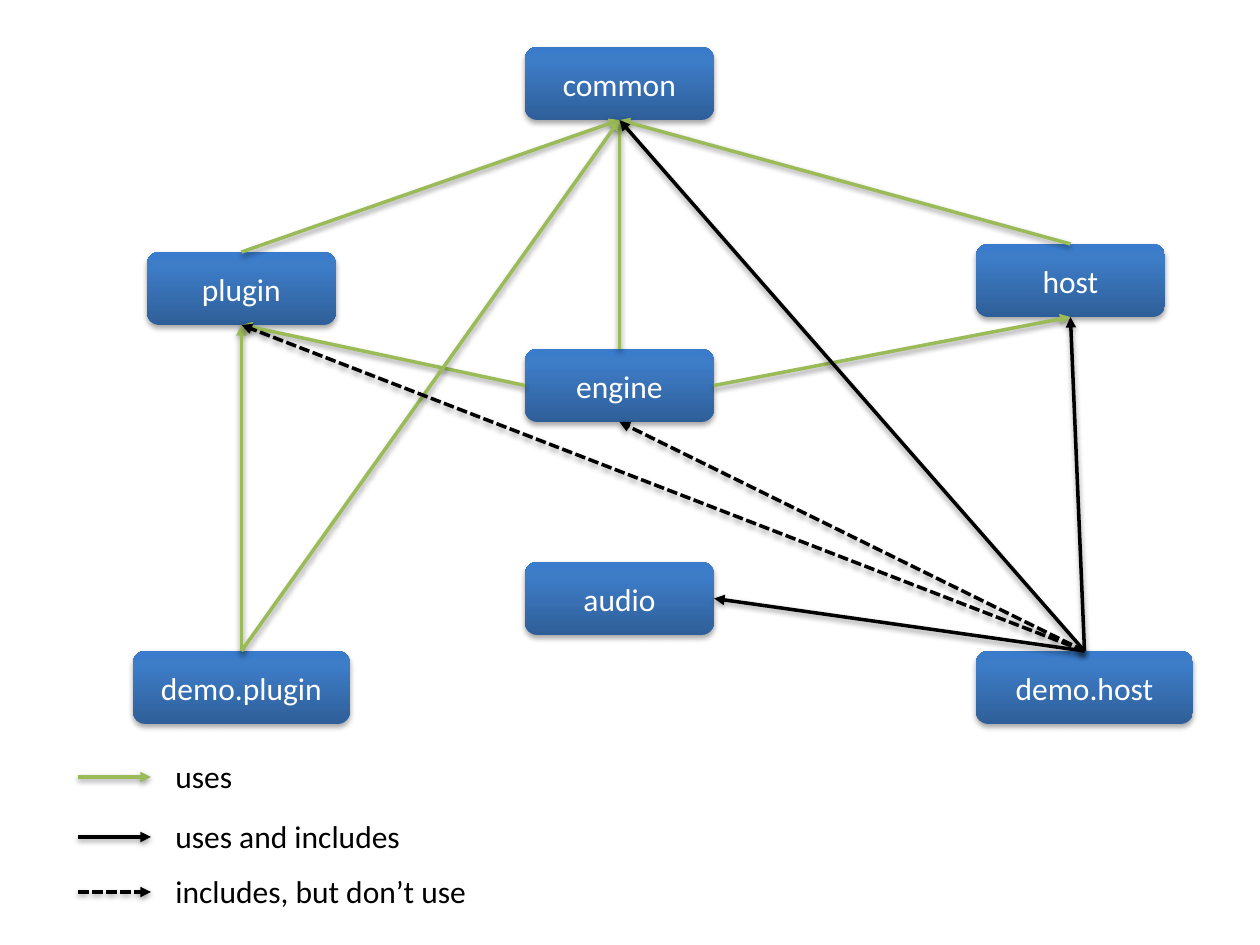
from copy import deepcopy

from lxml.etree import SubElement
from pptx import Presentation
from pptx.dml.color import RGBColor
from pptx.enum.dml import MSO_LINE as Dash
from pptx.enum.shapes import MSO_CONNECTOR as Connector, MSO_SHAPE as Shape
from pptx.enum.text import MSO_ANCHOR as Anchor, MSO_AUTO_SIZE as AutoSize, PP_ALIGN as Align
from pptx.oxml.ns import qn
from pptx.util import Emu, Pt

WHITE = RGBColor(0xFF, 0xFF, 0xFF)
BLACK = RGBColor(0x00, 0x00, 0x00)
GREEN = RGBColor(0x9B, 0xBB, 0x59)
GRADIENT = [
    (0, RGBColor(0x2F, 0x5F, 0x99)),
    (0.8, RGBColor(0x3D, 0x7C, 0xC7)),
    (1, RGBColor(0x3A, 0x7C, 0xCB)),
]

USES = (GREEN, None)
USES_INCLUDES = (BLACK, None)
INCLUDES = (BLACK, Dash.SQUARE_DOT)

TOP, LEFT, BOTTOM, RIGHT = range(4)
NARROW, WIDE, BOX_HEIGHT = 189, 217, 73

MODULES = {
    "common": (525, 47, NARROW),
    "host": (976, 244, NARROW),
    "plugin": (147, 252, NARROW),
    "audio": (525, 562, NARROW),
    "demo.plugin": (133, 651, WIDE),
    "engine": (525, 349, NARROW),
    "demo.host": (976, 651, WIDE),
}

DEPENDENCIES = [
    ("plugin", TOP, "common", BOTTOM, USES),
    ("host", TOP, "common", BOTTOM, USES),
    ("engine", TOP, "common", BOTTOM, USES),
    ("engine", RIGHT, "host", BOTTOM, USES),
    ("engine", LEFT, "plugin", BOTTOM, USES),
    ("demo.plugin", TOP, "plugin", BOTTOM, USES),
    ("demo.plugin", TOP, "common", BOTTOM, USES),
    ("demo.host", TOP, "common", BOTTOM, USES_INCLUDES),
    ("demo.host", TOP, "engine", BOTTOM, INCLUDES),
    ("demo.host", TOP, "plugin", BOTTOM, INCLUDES),
    ("demo.host", TOP, "audio", RIGHT, USES_INCLUDES),
    ("demo.host", TOP, "host", BOTTOM, USES_INCLUDES),
]

LEGEND = [
    ("uses", 777, 83, USES),
    ("uses and includes", 837, 253, USES_INCLUDES),
    ("includes, but don’t use", 892, 328, INCLUDES),
]


def px(length):
    return Emu(round(length * 914400 / 126))


class Diagram:
    font_name = "Calibri"
    font_size = Pt(18)
    line_width = Pt(2)

    def __init__(self, slide):
        self.shapes = slide.shapes

    def set_text(self, frame, wording, color):
        paragraph = frame.paragraphs[0]
        paragraph.text = wording
        font = paragraph.font
        font.name, font.size, font.color.rgb = self.font_name, self.font_size, color
        return paragraph

    def cast_shadow(self, effects, distance, opacity):
        shadow = SubElement(effects, qn("a:outerShdw"), blurRad="40000",
                            dist=str(distance), dir="5400000", rotWithShape="0")
        black = SubElement(shadow, qn("a:srgbClr"), val=str(BLACK))
        SubElement(black, qn("a:alpha"), val=str(opacity * 1000))

    def module(self, name, left, top, width):
        box = self.shapes.add_shape(Shape.ROUNDED_RECTANGLE, px(left), px(top),
                                    px(width), px(BOX_HEIGHT))
        box.fill.gradient()
        box.fill.gradient_angle = 90
        properties = box._element.spPr
        stop_list = properties.find(qn("a:gradFill")).find(qn("a:gsLst"))
        stop_list.append(deepcopy(stop_list[-1]))
        for stop, (position, color) in zip(box.fill.gradient_stops, GRADIENT):
            stop.position = position
            stop.color.rgb = color
        box.line.fill.background()
        box.shadow.inherit = False
        self.cast_shadow(properties.find(qn("a:effectLst")), 23000, 35)
        box.text_frame.vertical_anchor = Anchor.MIDDLE
        self.set_text(box.text_frame, name, WHITE).alignment = Align.CENTER
        return box

    def arrow(self, kind, start=(0, 0), end=(0, 0)):
        color, dash = kind
        arrow = self.shapes.add_connector(Connector.STRAIGHT, *map(px, start + end))
        arrow.line.width = self.line_width
        arrow.line.color.rgb = color
        if dash:
            arrow.line.dash_style = dash
        properties = arrow._element.spPr
        SubElement(properties.find(qn("a:ln")), qn("a:tailEnd"), type="triangle")
        self.cast_shadow(SubElement(properties, qn("a:effectLst")), 20000, 38)
        return arrow

    def dependency(self, source, source_side, target, target_side, kind):
        arrow = self.arrow(kind)
        arrow.begin_connect(source, source_side)
        arrow.end_connect(target, target_side)

    def legend_entry(self, wording, middle, width, kind):
        self.arrow(kind, (78, middle), (151, middle))
        label = self.shapes.add_textbox(px(163), px(middle - 26), px(width), px(50))
        label.text_frame.word_wrap = False
        label.text_frame.auto_size = AutoSize.SHAPE_TO_FIT_TEXT
        self.set_text(label.text_frame, wording, BLACK)


def main():
    deck = Presentation()
    deck.slide_width, deck.slide_height = px(1260), px(945)
    diagram = Diagram(deck.slides.add_slide(deck.slide_layouts[6]))

    boxes = {name: diagram.module(name, *place) for name, place in MODULES.items()}
    for source, source_side, target, target_side, kind in DEPENDENCIES:
        diagram.dependency(boxes[source], source_side, boxes[target], target_side, kind)
    for entry in LEGEND:
        diagram.legend_entry(*entry)

    deck.save("out.pptx")


if __name__ == "__main__":
    main()
